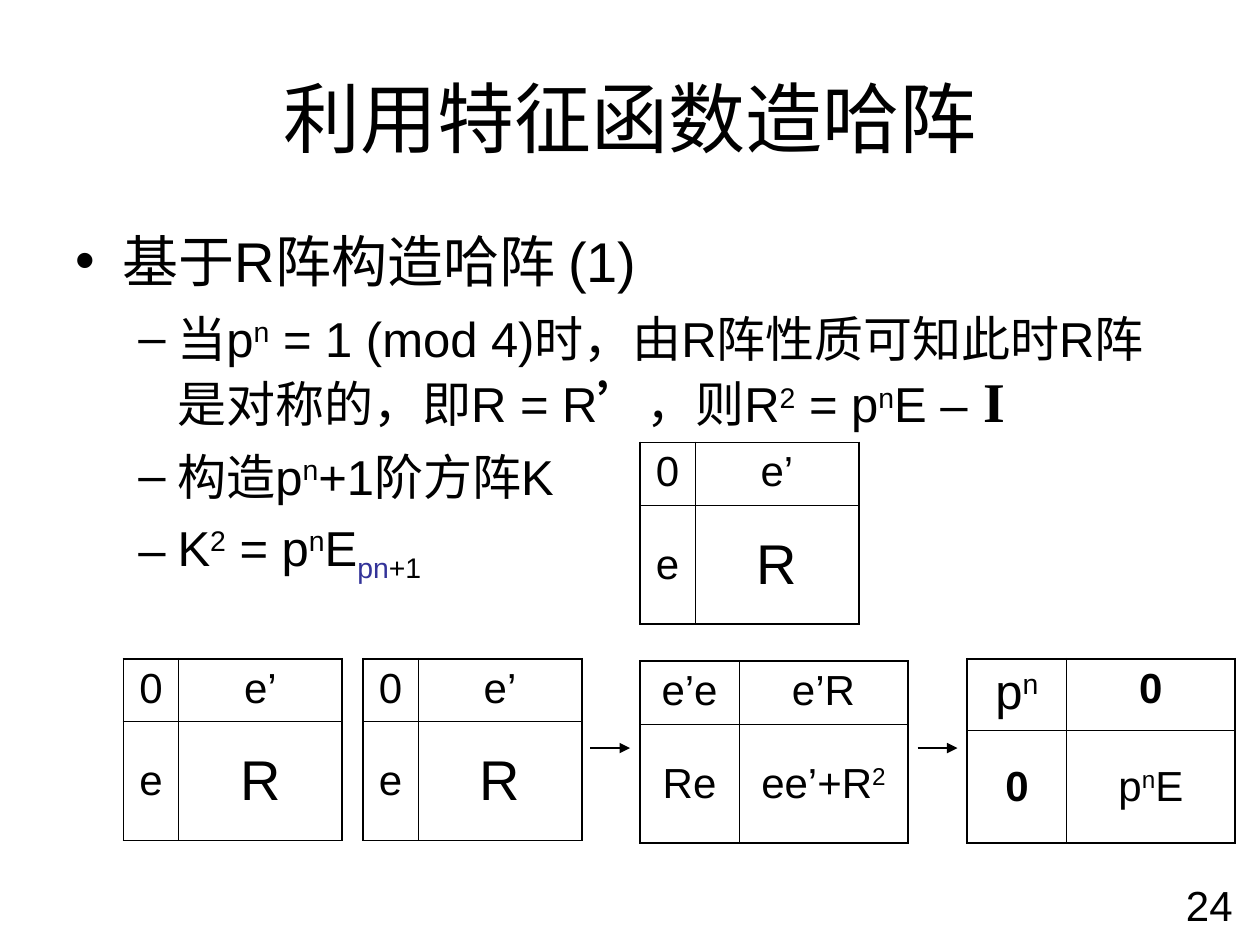
from lxml import etree
from pptx import Presentation
from pptx import util as u
from pptx.dml import color
from pptx.enum import shapes, text
from pptx.oxml import ns

Cm, Pt = u.Cm, u.Pt
COLORS = {"ink": "000000", "index": "333399"}
LATIN, HAN, SERIF = "Arial", "Noto Sans CJK SC", "Times New Roman"
SUP, SUB, BOLD = {"base": 30}, {"base": -25}, {"bold": True}
OUTER, INNER = 1.08, 0.45

BODY = [
    (0, 32, 8, ["基于R阵构造哈阵 (1)"]),
    (1, 28, 8, ["当p", ("n", SUP), " = 1 (mod 4)", ("时，", {"font": HAN}),
                "由R阵性质可知此时R阵是对称的，即R = R",
                ("’", {"font": HAN, "bold": True}), "，则R", ("2", SUP), " = p",
                ("n", SUP), "E –", (" ", {"size": 32}),
                ("I", {"size": 32, "font": SERIF, "bold": True})]),
    (1, 28, 7, ["构造p", ("n", SUP), "+1阶方阵K"]),
    (1, 28, 7, ["K", ("2", SUP), " = p", ("n", SUP), "E",
                ("pn", {"base": -25, "color": "index"}), ("+1", SUB)]),
]
BULLETS = [("•", 0.95, -0.95), ("–", 2.06, -0.79)]

K_MATRIX = [[(24, ["0"]), (24, ["e’"])], [(24, ["e"]), (32, ["R"])]]
PRODUCT = [[(24, ["e’e"]), (24, ["e’R"])],
           [(24, ["Re"]), (24, ["ee’+R", ("2", SUP)])]]
RESULT = [[(28, ["p", ("n", SUP)]), (24, [("0", BOLD)])],
          [(24, [("0", BOLD)]), (24, ["p", ("n", SUP), "E"])]]


def rgb(name):
    return color.RGBColor.from_string(COLORS[name])


def add_runs(p, runs, size):
    for item in runs:
        content, style = (item, {}) if isinstance(item, str) else item
        r = p.add_run()
        r.text = content
        r.font.name = style.get("font", LATIN)
        r.font.size = Pt(style.get("size", size))
        r.font.bold = style.get("bold", False)
        r.font.color.rgb = rgb(style.get("color", "ink"))
        rpr = r.font._element
        if "base" in style:
            rpr.set("baseline", str(style["base"] * 1000))
        latin = rpr.find(ns.qn("a:latin"))
        ea = etree.Element(ns.qn("a:ea"), typeface=HAN)
        latin.addnext(ea)


def add_box(s, box, anchor=text.MSO_ANCHOR.TOP):
    tf = s.shapes.add_textbox(*map(Cm, box)).text_frame
    tf.word_wrap = True
    tf.vertical_anchor = anchor
    return tf


def add_line_of_text(s, box, content, size, align, anchor):
    p = add_box(s, box, anchor).paragraphs[0]
    p.alignment = align
    add_runs(p, [content], size)


def add_body(s, box):
    tf = add_box(s, box)
    for i, (level, size, before, runs) in enumerate(BODY):
        p = tf.add_paragraph() if i else tf.paragraphs[0]
        p.level = level
        p.space_before = Pt(before)
        char, margin, indent = BULLETS[level]
        ppr = p._p.get_or_add_pPr()
        ppr.set("marL", str(Cm(margin)))
        ppr.set("indent", str(Cm(indent)))
        etree.SubElement(ppr, ns.qn("a:buFont"), typeface=LATIN)
        etree.SubElement(ppr, ns.qn("a:buChar"), char=char)
        add_runs(p, runs, size)


def set_borders(cell, widths):
    tcpr = cell._tc.get_or_add_tcPr()
    for side, width in zip("LRTB", widths):
        ln = etree.SubElement(tcpr, ns.qn(f"a:ln{side}"), w=str(Pt(width)))
        fill = etree.SubElement(ln, ns.qn("a:solidFill"))
        etree.SubElement(fill, ns.qn("a:srgbClr"), val=COLORS["ink"])


def add_matrix(s, left, top, cols, rows, entries):
    tbl = s.shapes.add_table(2, 2, Cm(left), Cm(top),
                             Cm(sum(cols)), Cm(sum(rows))).table
    tbl.first_row = tbl.horz_banding = False
    for i in range(2):
        tbl.columns[i].width = Cm(cols[i])
        tbl.rows[i].height = Cm(rows[i])
    for i, row in enumerate(entries):
        for j, (size, runs) in enumerate(row):
            cell = tbl.cell(i, j)
            across = (OUTER, INNER) if j == 0 else (INNER, OUTER)
            down = (OUTER, INNER) if i == 0 else (INNER, OUTER)
            set_borders(cell, across + down)
            cell.fill.background()
            cell.vertical_anchor = text.MSO_ANCHOR.MIDDLE if i else text.MSO_ANCHOR.TOP
            p = cell.text_frame.paragraphs[0]
            p.alignment = text.PP_ALIGN.CENTER
            p.space_before = Pt(size / 4)
            add_runs(p, runs, size)


def add_arrow(s, left, top, length):
    c = s.shapes.add_connector(shapes.MSO_CONNECTOR.STRAIGHT, Cm(left), Cm(top),
                               Cm(left + length), Cm(top))
    c.line.color.rgb = rgb("ink")
    c.line.width = Pt(0.75)
    etree.SubElement(c.line._get_or_add_ln(), ns.qn("a:tailEnd"), type="triangle")
    etree.SubElement(c._element.spPr, ns.qn("a:effectLst"))


def add_product_row(s, top):
    for left in (2.49, 7.32):
        add_matrix(s, left, top, (1.11, 3.3), (1.27, 2.39), K_MATRIX)
    add_matrix(s, 12.9, top + 0.05, (2, 3.4), (1.27, 2.39), PRODUCT)
    add_matrix(s, 19.5, top, (2, 3.4), (1.45, 2.26), RESULT)
    for left in (11.9, 18.5):
        add_arrow(s, left, top + 1.8, 0.8)


def main():
    prs = Presentation()
    prs.slide_width, prs.slide_height = Cm(25.4), Cm(19.05)
    s = prs.slides.add_slide(prs.slide_layouts[6])
    add_line_of_text(s, (1.27, 0.76, 22.86, 3.18), "利用特征函数造哈阵", 44,
                     text.PP_ALIGN.CENTER, text.MSO_ANCHOR.MIDDLE)
    add_body(s, (1.27, 4.45, 22.86, 12.57))
    add_matrix(s, 12.9, 8.92, (1.11, 3.3), (1.27, 2.39), K_MATRIX)
    add_product_row(s, 13.28)
    add_line_of_text(s, (19.18, 17.6, 5.92, 1.32), "24", 24,
                     text.PP_ALIGN.RIGHT, text.MSO_ANCHOR.TOP)
    prs.save("out.pptx")


if __name__ == "__main__":
    main()
